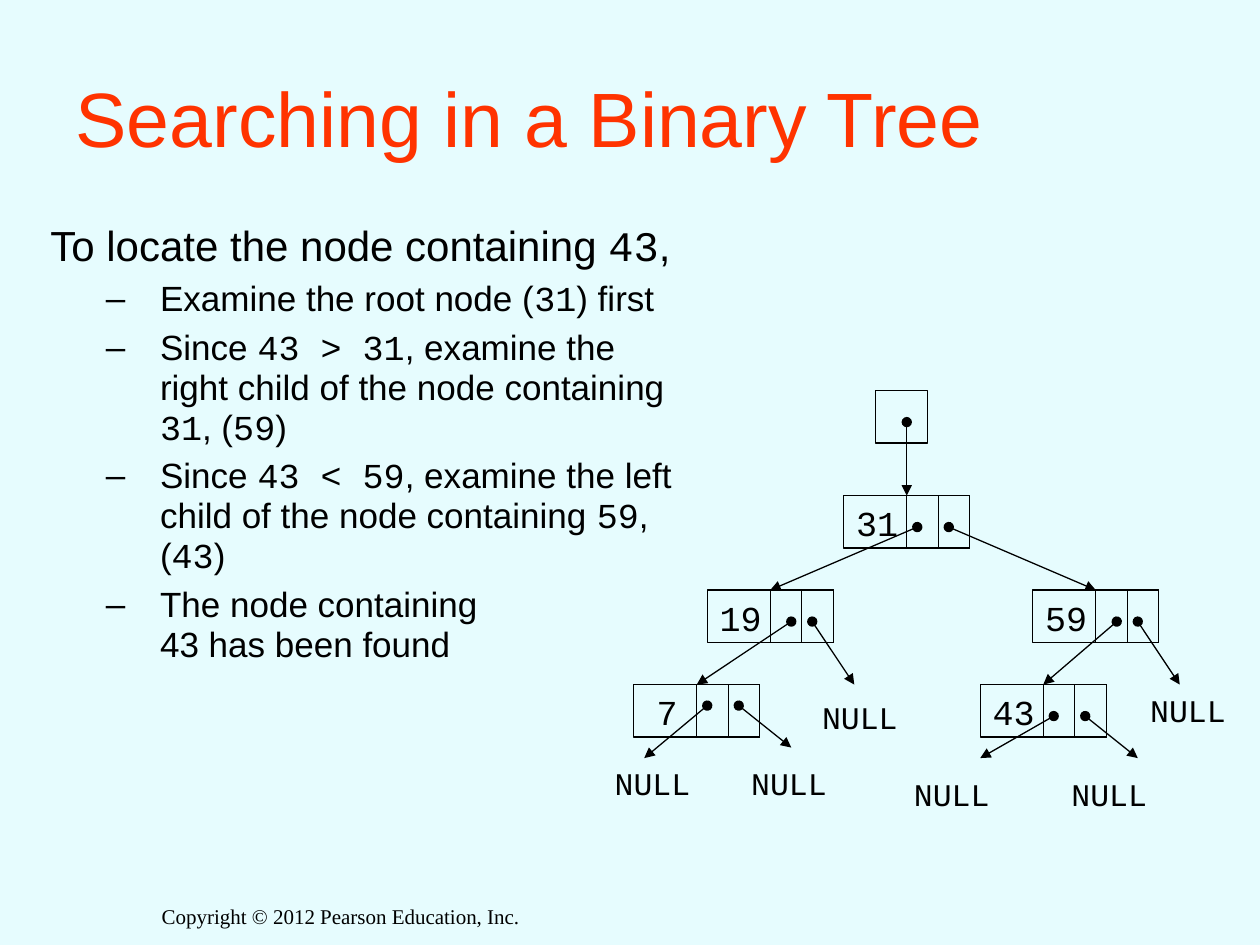
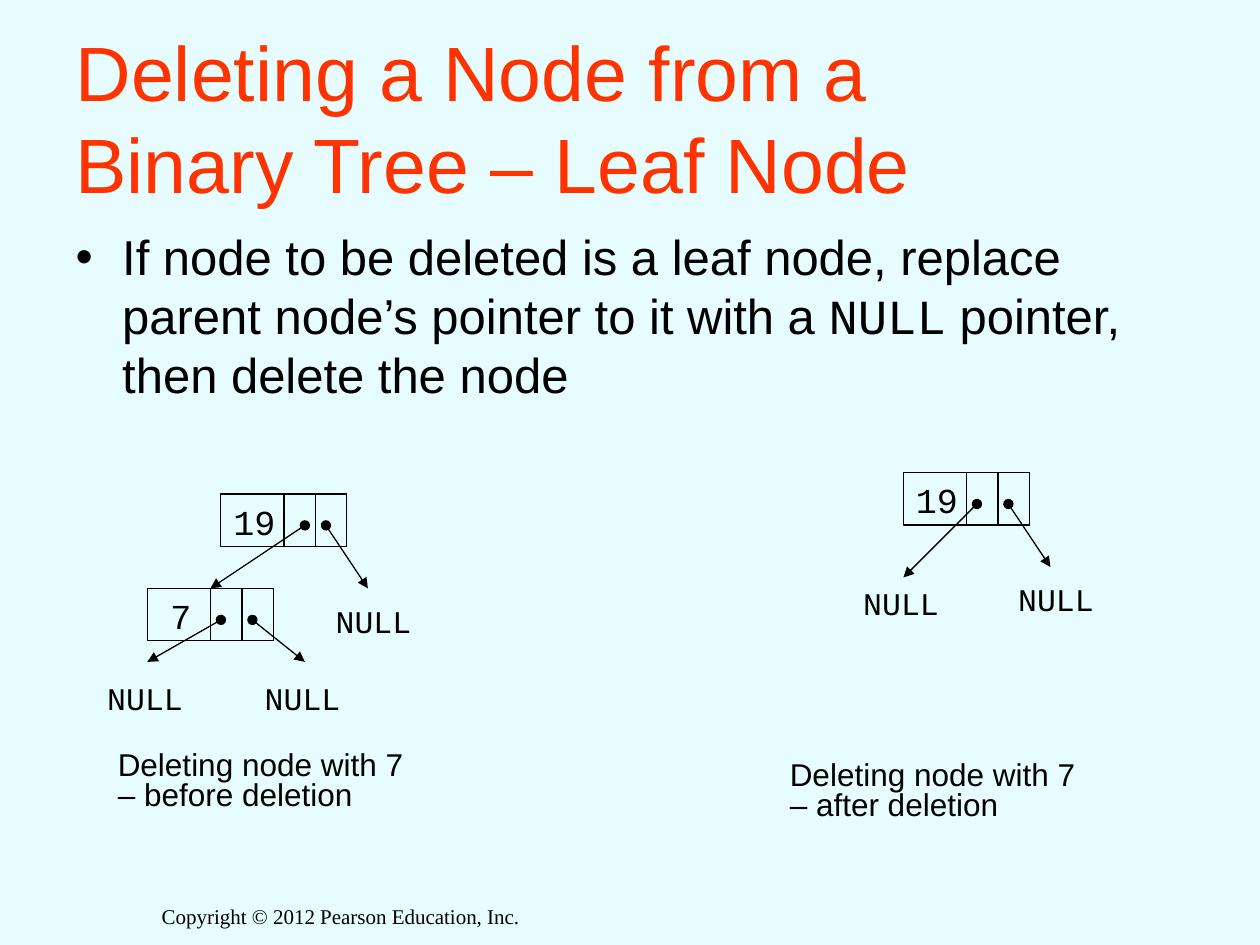
from dataclasses import dataclass
from typing import Optional

from lxml.etree import SubElement
from pptx import Presentation
from pptx.dml.color import RGBColor
from pptx.enum.shapes import MSO_CONNECTOR as Connector, MSO_SHAPE as Preset
from pptx.enum.text import MSO_ANCHOR as Anchor, MSO_AUTO_SIZE as AutoSize, PP_ALIGN as Align
from pptx.oxml.ns import qn
from pptx.util import Inches, Pt


@dataclass(frozen=True)
class Theme:
    background: RGBColor = RGBColor(0xE6, 0xFC, 0xFE)
    title: RGBColor = RGBColor(0xFF, 0x33, 0x00)
    ink: RGBColor = RGBColor(0, 0, 0)
    sans: str = "Arial"
    mono: str = "Courier New"
    serif: str = "Times New Roman"
    title_size: float = 44
    body_size: float = 28
    lead_size: float = 24
    item_size: float = 20
    value_size: float = 20
    label_size: float = 18
    footer_size: float = 12
    line_width: float = 0.75


THEME = Theme()
UNIT = 1 / 12  # side of one grid square, in inches
NODE_COLS, NODE_ROWS, LINK_COLS = 12, 5, 3
VALUE_CENTRE = 3.2
MONO_ADVANCE = 0.6


@dataclass(frozen=True)
class Item:
    """A line of body text; parts between backticks are set in the code font."""
    text: str
    size: float
    bullet: Optional[str] = None
    level: int = 0
    margin: float = 0.0
    hanging: float = 0.0
    spacing: float = 1.0
    before: float = 0.0


@dataclass(frozen=True)
class Pointer:
    """An arrow measured from its node's corner, ending at a child or a NULL label."""
    start: tuple[float, float]
    child: Optional[str] = None
    end: tuple[float, float] = (0, 0)
    label_shift: tuple[float, float] = (0, 0)


@dataclass(frozen=True)
class Node:
    value: str
    col: float
    row: float
    pointers: tuple[Pointer, ...]


@dataclass(frozen=True)
class Grid:
    left: float
    top: float

    def at(self, col: float, row: float) -> tuple[int, int]:
        return Inches(self.left + col * UNIT), Inches(self.top + row * UNIT)


def write(para, text: str, *, size: float, font: str = THEME.sans,
          color: RGBColor = THEME.ink) -> None:
    """Append text to a paragraph, switching to the code font between backticks."""
    for index, part in enumerate(text.split("`")):
        for number, piece in enumerate(part.split("\n")):
            if number:
                para.add_line_break()
            if piece:
                span = para.add_run()
                span.text = piece
                span.font.size = Pt(size)
                span.font.name = THEME.mono if index % 2 else font
                span.font.color.rgb = color


def set_bullet(para, item: Item) -> None:
    properties = para._p.get_or_add_pPr()
    properties.set("marL", str(Inches(item.margin)))
    properties.set("indent", str(Inches(-item.hanging)))
    if item.bullet:
        SubElement(properties, qn("a:buFont"), typeface=THEME.sans)
        SubElement(properties, qn("a:buChar"), char=item.bullet)
    else:
        SubElement(properties, qn("a:buNone"))


def place(shape, left: float, top: float, width: float, height: float) -> None:
    shape.left, shape.top = Inches(left), Inches(top)
    shape.width, shape.height = Inches(width), Inches(height)


def add_text(shapes, text: str, corner: tuple[int, int], width: float, height: float, *,
             size: float, font: str = THEME.sans, wrap: bool = False,
             align: Align = Align.LEFT, spacing: Optional[float] = None) -> None:
    box = shapes.add_textbox(*corner, Inches(width), Inches(height))
    box.text_frame.word_wrap = wrap
    para = box.text_frame.paragraphs[0]
    para.alignment = align
    if spacing:
        para.line_spacing = spacing
    write(para, text, size=size, font=font)


def code_width(text: str, size: float) -> float:
    return len(text) * MONO_ADVANCE * size / 72 + 0.2


def add_code(shapes, text: str, corner: tuple[int, int], size: float) -> None:
    add_text(shapes, text, corner, code_width(text, size), size / 50 + 0.04,
             size=size, font=THEME.mono)


def add_frame(shapes, grid: Grid, col: float, row: float, cols: float):
    """Draw an unfilled rectangle of node height."""
    frame = shapes.add_shape(Preset.RECTANGLE, *grid.at(col, row),
                             Inches(cols * UNIT), Inches(NODE_ROWS * UNIT))
    frame.shadow.inherit = False
    frame.fill.background()
    frame.line.color.rgb = THEME.ink
    frame.line.width = Pt(THEME.line_width)
    return frame


def add_arrow(shapes, start: tuple[int, int], end: tuple[int, int], target=None) -> None:
    arrow = shapes.add_connector(Connector.STRAIGHT, *start, *end)
    if target is not None:
        arrow.end_connect(target, 0)
    arrow.line.color.rgb = THEME.ink
    arrow.line.width = Pt(THEME.line_width)
    outline = arrow.line._get_or_add_ln()
    SubElement(outline, qn("a:headEnd"), type="oval")
    SubElement(outline, qn("a:tailEnd"), type="triangle")
    SubElement(arrow._element.spPr, qn("a:effectLst"))


def add_node(shapes, grid: Grid, node: Node):
    frame = add_frame(shapes, grid, node.col, node.row, NODE_COLS)
    for link in (1, 2):
        add_frame(shapes, grid, node.col + NODE_COLS - link * LINK_COLS, node.row, LINK_COLS)
    half = code_width(node.value, THEME.value_size) / UNIT / 2
    add_code(shapes, node.value, grid.at(node.col + VALUE_CENTRE - half, node.row),
             THEME.value_size)
    return frame


def add_tree(shapes, grid: Grid, nodes: list[Node]) -> dict:
    """Draw every node, then the pointers; return the node frames by value."""
    frames = {node.value: add_node(shapes, grid, node) for node in nodes}
    spots = {node.value: node for node in nodes}
    for node in nodes:
        for pointer in node.pointers:
            start = grid.at(node.col + pointer.start[0], node.row + pointer.start[1])
            if pointer.child:
                child = spots[pointer.child]
                end = grid.at(child.col + NODE_COLS / 2, child.row)
                add_arrow(shapes, start, end, frames[pointer.child])
                continue
            col, row = node.col + pointer.end[0], node.row + pointer.end[1]
            add_arrow(shapes, start, grid.at(col, row))
            shift_col, shift_row = pointer.label_shift
            add_code(shapes, "NULL", grid.at(col + shift_col, row + shift_row),
                     THEME.label_size)
    return frames


def add_caption(shapes, text: str, corner: tuple[int, int]) -> None:
    add_text(shapes, text, corner, 2.6, 0.58, size=THEME.label_size, wrap=True, spacing=0.8)


def add_page(deck, title: str, items: list[Item], body_area: tuple[float, ...]):
    page = deck.slides.add_slide(deck.slide_layouts[1])
    heading, body = page.shapes.title, page.placeholders[1]
    place(heading, 0.5, 0.3, 9, 1.25)
    place(body, *body_area)
    for holder, anchor in ((heading, Anchor.MIDDLE), (body, Anchor.TOP)):
        holder.text_frame.auto_size = AutoSize.NONE
        holder.text_frame.vertical_anchor = anchor
    title_para = heading.text_frame.paragraphs[0]
    title_para.alignment = Align.LEFT
    write(title_para, title, size=THEME.title_size, color=THEME.title)
    for index, item in enumerate(items):
        para = body.text_frame.add_paragraph() if index else body.text_frame.paragraphs[0]
        para.level = item.level
        set_bullet(para, item)
        para.line_spacing = item.spacing
        para.space_before = Pt(item.before)
        write(para, item.text, size=item.size)
    add_text(page.shapes, "Copyright © 2012 Pearson Education, Inc.",
             (Inches(1.08), Inches(7.12)), 3.25, 0.38, size=THEME.footer_size,
             font=THEME.serif, wrap=True, align=Align.CENTER)
    return page


def build_search_page(deck) -> None:
    steps = ["Examine the root node (`31`) first",
             "Since `43 > 31`, examine the right child of the node containing `31`, (`59`)",
             "Since `43 < 59`, examine the left child of the node containing `59`, (`43`)",
             "The node containing\n43 has been found"]
    items = [Item("To locate the node containing `43`,", THEME.lead_size,
                  margin=0.13, spacing=0.95)]
    items += [Item(step, THEME.item_size, "–", 1, 1, 0.43, 0.95, 5) for step in steps]
    page = add_page(deck, "Searching in a Binary Tree", items, (0.17, 1.72, 5.32, 4.7))

    grid = Grid(5.03, 3.1)
    nodes = [
        Node("31", 20, 10, (Pointer((7, 3), "19"), Pointer((10, 3), "59"))),
        Node("59", 38, 19, (Pointer((8, 3), "43"),
                            Pointer((10, 3), end=(14, 9), label_shift=(-4, 0)))),
        Node("19", 7, 19, (Pointer((8, 3), "7"),
                           Pointer((10, 3), end=(14, 9), label_shift=(-4.25, 0.7)))),
        Node("7", 0, 28, (Pointer((7, 2), end=(1, 7), label_shift=(-4, 0)),
                          Pointer((10, 2), end=(15, 6), label_shift=(-5, 1)))),
        Node("43", 33, 28, (Pointer((7, 3), end=(0, 7), label_shift=(-7.5, 1)),
                            Pointer((10, 3), end=(15, 7), label_shift=(-7.5, 1)))),
    ]
    shapes = page.shapes.add_group_shape().shapes
    add_frame(shapes, grid, 23, 0, NODE_ROWS)
    frames = add_tree(shapes, grid, nodes)
    add_arrow(shapes, grid.at(26, 3), grid.at(26, 10), frames["31"])


def build_delete_page(deck) -> None:
    rule = Item("If node to be deleted is a leaf node, replace parent node’s pointer to it "
                "with a `NULL` pointer, then delete the node",
                THEME.body_size, "•", margin=0.37, hanging=0.37)
    page = add_page(deck, "Deleting a Node from a\nBinary Tree – Leaf Node", [rule],
                    (0.5, 1.75, 9.08, 1.75))

    right_null = Pointer((10, 3), end=(14, 9), label_shift=(-4.25, 0.7))
    before = [
        Node("19", 7, 0, (Pointer((8, 3), "7"), right_null)),
        Node("7", 0, 9, (Pointer((7, 3), end=(0, 7), label_shift=(-5, 1)),
                         Pointer((10, 3), end=(15, 7), label_shift=(-5, 1)))),
    ]
    after = [Node("19", 0, 0, (Pointer((7, 3), end=(0, 10), label_shift=(-5, 0)), right_null))]
    for stage, nodes, grid, caption_spot in (
            ("before", before, Grid(1.17, 3.92), (-4, 24)),
            ("after", after, Grid(7.17, 3.75), (-12, 27))):
        shapes = page.shapes.add_group_shape().shapes
        add_tree(shapes, grid, nodes)
        add_caption(shapes, f"Deleting node with 7 – {stage} deletion", grid.at(*caption_spot))


def main() -> None:
    deck = Presentation()
    deck.slide_width, deck.slide_height = Inches(10), Inches(7.5)
    fill = deck.slide_master.background.fill
    fill.solid()
    fill.fore_color.rgb = THEME.background
    build_search_page(deck)
    build_delete_page(deck)
    deck.save("out.pptx")


if __name__ == "__main__":
    main()
